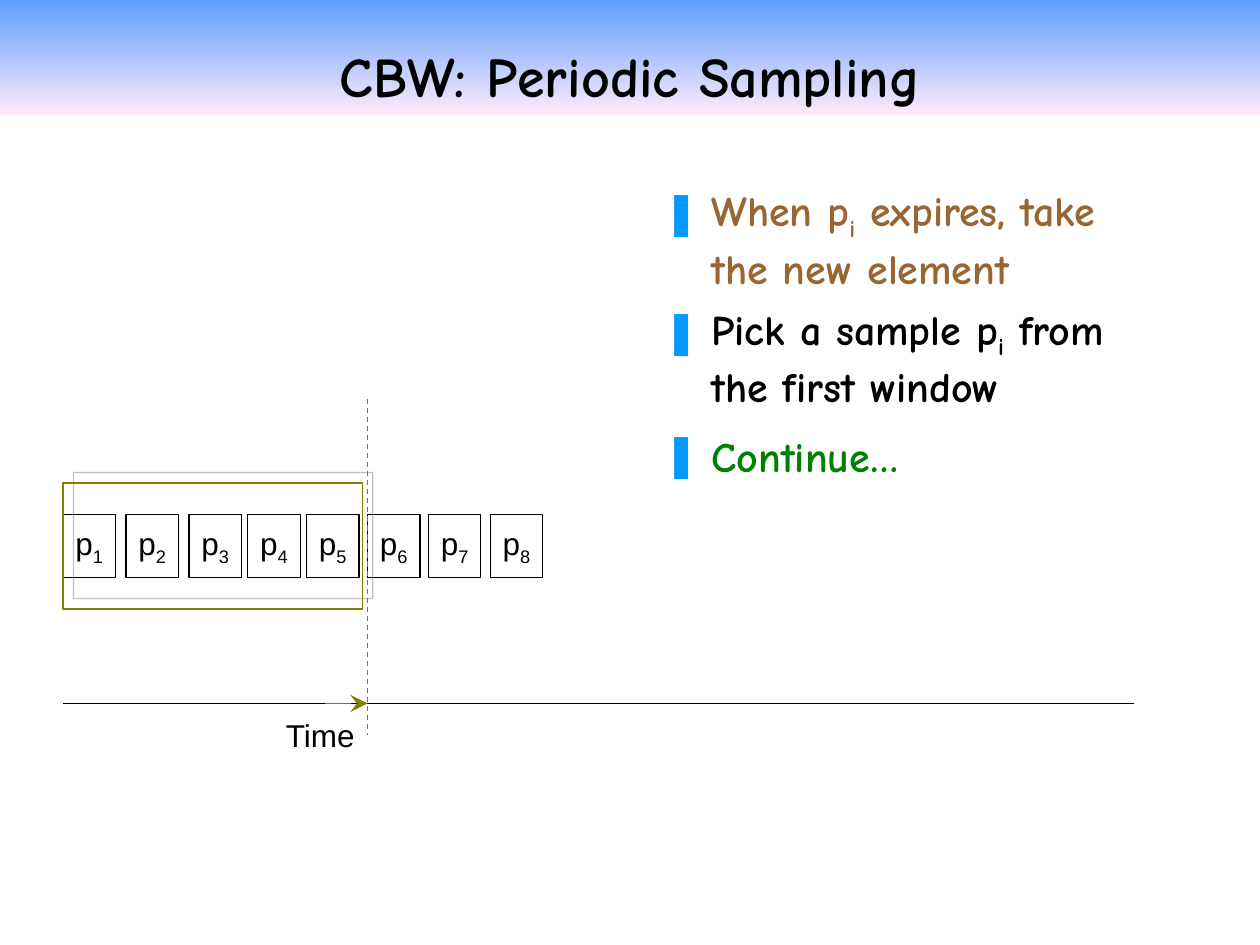
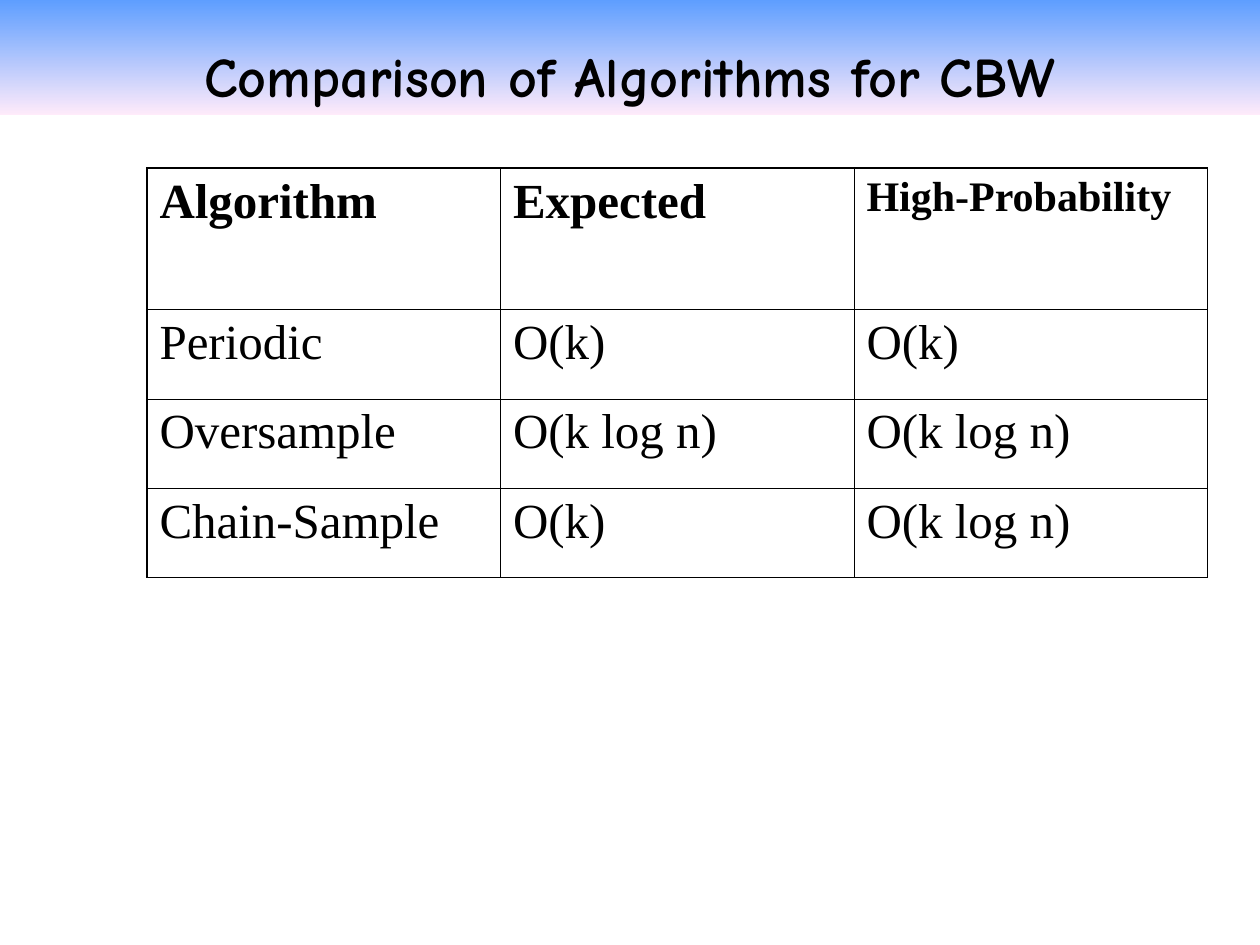
from lxml import etree
from pptx import Presentation
from pptx import util as u
from pptx.dml.color import RGBColor
from pptx.enum import dml, shapes, text
from pptx.oxml import ns

COLORS = {
    "ink": "000000",
    "band_top": "5E9EFF",
    "band_bottom": "FFEBFA",
    "window": "808000",
    "window_shadow": "808080",
    "bullet": "0099FF",
    "expiry": "996633",
    "continue": "008000",
}
HEADING, LABEL, TABLE = "Comic Neue", "Arial", "Times New Roman"
LAYOUT_LIST, LAYOUT_TITLE_ONLY = 1, 5
COLUMNS, ROWS = 120, 90
THIN, INNER_BORDER, OUTER_BORDER = 0.75, 0.45, 1.08
BULLET_INDENT = u.Inches(0.38)


def rgb(name):
    return RGBColor.from_string(COLORS[name])


def add_xml(parent, tag, **attributes):
    return etree.SubElement(parent, ns.qn(tag), attributes)


class Deck:
    """Holds the style and the current slide; places are (column, row) on a 120 x 90 grid."""

    def __init__(self):
        self.prs = Presentation()
        self.prs.slide_width, self.prs.slide_height = u.Inches(10), u.Inches(7.5)
        self.slide = None

    def x(self, columns):
        return round(self.prs.slide_width * columns / COLUMNS)

    def y(self, rows):
        return round(self.prs.slide_height * rows / ROWS)

    def area(self, left, top, width, height):
        return self.x(left), self.y(top), self.x(width), self.y(height)

    def place(self, item, *area):
        item.left, item.top, item.width, item.height = self.area(*area)

    def add_runs(self, paragraph, words, font, size, color="ink", bold=False):
        """Add runs to a paragraph; every second word is a subscript."""
        for position, word in enumerate(words):
            run = paragraph.add_run()
            run.text = word
            run.font.name, run.font.size, run.font.bold = font, u.Pt(size), bold
            run.font.color.rgb = rgb(color)
            if position % 2:
                run._r.get_or_add_rPr().set("baseline", "-25000")

    def new_slide(self, heading, layout):
        self.slide = self.prs.slides.add_slide(self.prs.slide_layouts[layout])
        title = self.slide.shapes.title
        self.place(title, 0, 0, COLUMNS, 11)
        title.fill.gradient()
        title.fill.gradient_angle = 270
        for stop, color in zip(title.fill.gradient_stops, ("band_top", "band_bottom")):
            stop.color.rgb = rgb(color)
        frame = title.text_frame
        frame.vertical_anchor = text.MSO_ANCHOR.BOTTOM
        frame.auto_size = text.MSO_AUTO_SIZE.NONE
        frame.paragraphs[0].alignment = text.PP_ALIGN.CENTER
        self.add_runs(frame.paragraphs[0], [heading], HEADING, 32, bold=True)

    def bullets(self, area, items):
        """Fill the body placeholder from (words, colour, space before) items."""
        body = self.slide.placeholders[1]
        self.place(body, *area)
        frame = body.text_frame
        frame.auto_size = text.MSO_AUTO_SIZE.NONE
        for position, (words, color, space) in enumerate(items):
            paragraph = frame.add_paragraph() if position else frame.paragraphs[0]
            properties = paragraph._p.get_or_add_pPr()
            properties.set("marL", str(BULLET_INDENT))
            properties.set("indent", str(-BULLET_INDENT))
            add_xml(add_xml(properties, "a:buClr"), "a:srgbClr", val=COLORS["bullet"])
            add_xml(properties, "a:buChar", char="❚")
            paragraph.space_before = u.Pt(space)
            self.add_runs(paragraph, words, HEADING, 24, color, bold=True)

    def shape(self, kind, area, words=(), line=None):
        """Add an unfilled shape, outlined only when a line colour is given."""
        shape = self.slide.shapes.add_shape(kind, *self.area(*area))
        shape.shadow.inherit = False
        shape.fill.background()
        if line:
            shape.line.color.rgb = rgb(line)
            shape.line.width = u.Pt(THIN)
        else:
            shape.line.fill.background()
        frame = shape.text_frame
        frame.word_wrap = False
        frame.vertical_anchor = text.MSO_ANCHOR.MIDDLE
        frame.paragraphs[0].alignment = text.PP_ALIGN.CENTER
        self.add_runs(frame.paragraphs[0], words, LABEL, 18)
        return shape

    def cast_shadow(self, shape, color, distance):
        """Throw a half-transparent shadow up and to the right."""
        effects = shape._element.spPr.find(ns.qn("a:effectLst"))
        shadow = add_xml(effects, "a:outerShdw", dist=str(u.Pt(distance)),
                         dir=str(315 * 60000), algn="ctr", rotWithShape="0")
        tint = add_xml(shadow, "a:srgbClr", val=COLORS[color])
        add_xml(tint, "a:alpha", val="50000")

    def line(self, start, end, color, dashed=False, arrow=False):
        line = self.slide.shapes.add_connector(
            shapes.MSO_CONNECTOR.STRAIGHT,
            self.x(start[0]), self.y(start[1]), self.x(end[0]), self.y(end[1]))
        line.line.color.rgb = rgb(color)
        line.line.width = u.Pt(THIN)
        properties = line._element.spPr
        if dashed:
            line.line.dash_style = dml.MSO_LINE.DASH
        if arrow:
            add_xml(properties.find(ns.qn("a:ln")), "a:tailEnd",
                    type="stealth", w="lg", len="lg")
        add_xml(properties, "a:effectLst")

    def border(self, cell, outer_sides):
        properties = cell._tc.get_or_add_tcPr()
        for position, side in enumerate("LRTB"):
            width = OUTER_BORDER if side in outer_sides else INNER_BORDER
            edge = etree.Element(ns.qn(f"a:ln{side}"), w=str(u.Pt(width)))
            add_xml(add_xml(edge, "a:solidFill"), "a:srgbClr", val=COLORS["ink"])
            properties.insert(position, edge)

    def table(self, area, rows, row_heights, header_sizes):
        last_row, last_column = len(rows) - 1, len(rows[0]) - 1
        table = self.slide.shapes.add_table(
            len(rows), len(rows[0]), *self.area(*area)).table
        table.first_row = table.horz_banding = False
        for r, values in enumerate(rows):
            table.rows[r].height = self.y(row_heights[r])
            for c, value in enumerate(values):
                cell = table.cell(r, c)
                cell.fill.background()
                size = 28 if r else header_sizes[c]
                self.add_runs(cell.text_frame.paragraphs[0], [value], TABLE, size, bold=r == 0)
                edges = {"L": c == 0, "R": c == last_column, "T": r == 0, "B": r == last_row}
                self.border(cell, [side for side, outer in edges.items() if outer])


def periodic_sampling(deck):
    rectangle = shapes.MSO_SHAPE.RECTANGLE
    timeline, now = 67, 35
    element_columns = (6, 12, 18, 23.6, 29.2, now, 40.8, 46.7)

    deck.new_slide("CBW: Periodic Sampling", LAYOUT_LIST)
    deck.line((6, timeline), (108, timeline), "ink")
    for number, column in enumerate(element_columns, start=1):
        deck.shape(rectangle, (column, 49, 5, 6), ["p", str(number)], line="ink")
    window = deck.shape(rectangle, (6, 46, 28.5, 12), line="window")
    deck.cast_shadow(window, "window_shadow", 8.5)
    deck.shape(shapes.MSO_SHAPE.OVAL, (19, 66, 23, 8), ["Time"])
    deck.line((31, timeline), (now, timeline), "window", arrow=True)
    deck.line((now, 38), (now, 70), "window", dashed=True)
    deck.bullets((62, 17, 48, 54), [
        (["When p", "i", " expires, take the new element"], "expiry", 0),
        (["Pick a sample p", "i", " from the first window"], "ink", 6),
        (["Continue…"], "continue", 11),
    ])


def algorithm_comparison(deck):
    deck.new_slide("Comparison of Algorithms for CBW", LAYOUT_TITLE_ONLY)
    deck.table((14, 16, 101, 39), [
        ("Algorithm", "Expected", "High-Probability"),
        ("Periodic", "O(k)", "O(k)"),
        ("Oversample", "O(k log n)", "O(k log n)"),
        ("Chain-Sample", "O(k)", "O(k log n)"),
    ], row_heights=(13.5, 8.5, 8.5, 8.5), header_sizes=(28, 28, 24))


def main():
    deck = Deck()
    periodic_sampling(deck)
    algorithm_comparison(deck)
    deck.prs.save("out.pptx")


if __name__ == "__main__":
    main()
